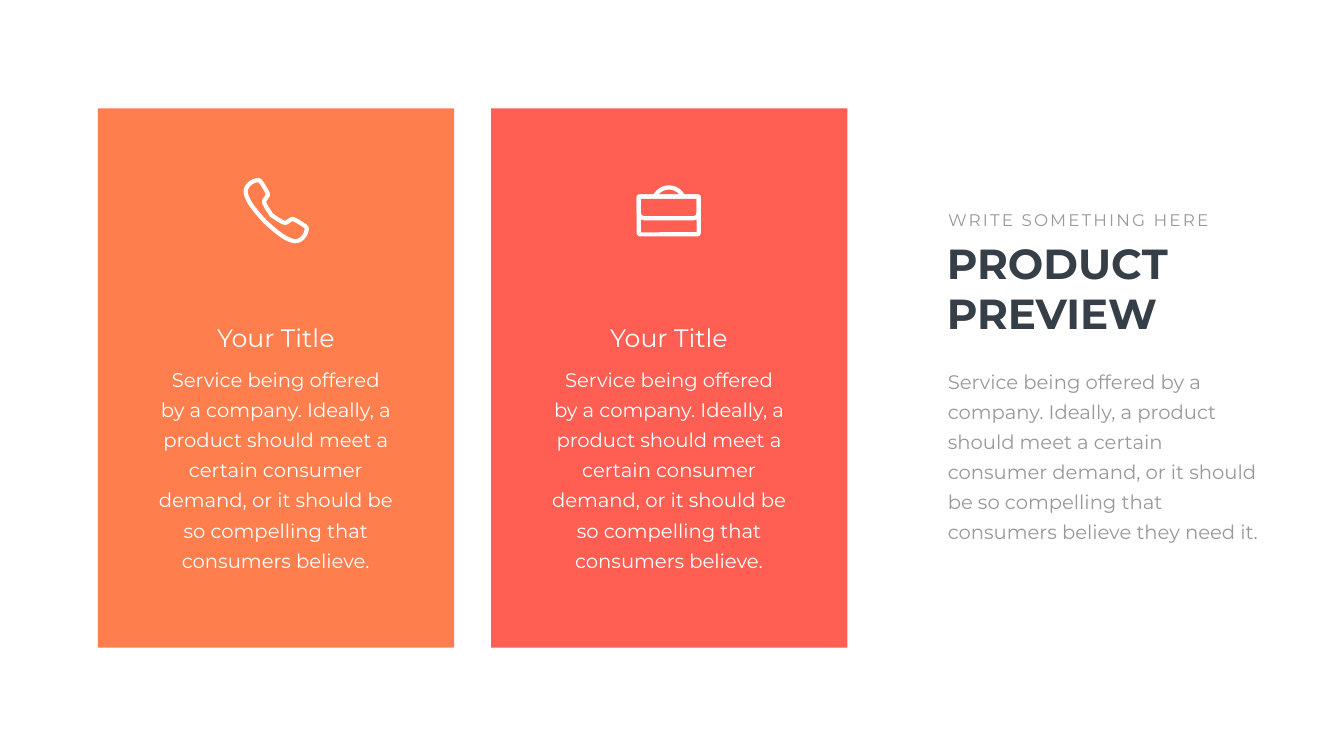
import math

from lxml import etree
from pptx import Presentation
from pptx import util as u
from pptx.dml.color import RGBColor
from pptx.enum import shapes, text
from pptx.oxml.ns import qn

PX = 9144  # EMU in one px, 100 px to the inch
FONT = "Montserrat"
ORANGE = RGBColor(0xFE, 0x7E, 0x4E)
CORAL = RGBColor(0xFE, 0x5F, 0x52)
WHITE = RGBColor(0xFF, 0xFF, 0xFF)
GREY = RGBColor(0x99, 0x99, 0x99)
NAVY = RGBColor(0x36, 0x3E, 0x48)

LEFT, CENTER = text.PP_ALIGN.LEFT, text.PP_ALIGN.CENTER
BODY_STYLE = {"insets": (24, 12),
              "formats": {"line_spacing": u.Pt(43), "space_before": u.Pt(0)}}

CARD_TEXT = ("Service being offered by a company. Ideally, a product should meet a "
             "certain consumer demand, or it should be so compelling that "
             "consumers believe.")
INTRO_TEXT = CARD_TEXT.replace("believe.", "believe they need it.")

# One half of the handset, from the middle of its back to the middle of its grip
HANDSET = [(43, 86), (28, 69), (13, 49), (5, 31), (6, 19), (13, 10), (22, 5), (31, 4),
           (38, 12), (48, 30), (46, 37), (41, 46), (46, 58), (56, 73)]
HANDSET_SIZE = 129


def outline(sp):
    """White stroke without fill, as all icon parts have."""
    sp.shadow.inherit = False
    sp.fill.background()
    sp.line.color.rgb = WHITE
    sp.line.width = u.Pt(6)


def add_path(s, x, y, points, close):
    points = [((x + px) * PX, (y + py) * PX) for px, py in points]
    builder = s.shapes.build_freeform(*points[0], scale=1.0)
    builder.add_line_segments(points[1:], close=close)
    outline(builder.convert_to_shape())


def smooth(points, steps=6):
    """Closed Catmull-Rom curve through the points."""
    n = len(points)
    curve = []
    for i in range(n):
        a, b, c, d = (points[(i + k) % n] for k in (-1, 0, 1, 2))
        for t in (k / steps for k in range(steps)):
            curve.append(tuple(
                q + t / 2 * (r - p + t * (2 * p - 5 * q + 4 * r - v
                                          + t * (3 * (q - r) + v - p)))
                for p, q, r, v in zip(a, b, c, d)))
    return curve


def add_phone(s, x, y):
    # The handset mirrors itself across its diagonal
    mirrored = [(HANDSET_SIZE - py, HANDSET_SIZE - px) for px, py in reversed(HANDSET)]
    add_path(s, x, y, smooth(HANDSET + mirrored), True)


def add_briefcase(s, x, y):
    # Case and flap share their top edge
    parts = [(shapes.MSO_SHAPE.ROUNDED_RECTANGLE, 75, [0.04]),
             (shapes.MSO_SHAPE.ROUND_2_SAME_RECTANGLE, 43, [0, 0.25])]
    for kind, height, corners in parts:
        sp = s.shapes.add_shape(kind, (x + 4) * PX, (y + 22) * PX, 119 * PX, height * PX)
        for i, corner in enumerate(corners):
            sp.adjustments[i] = corner
        outline(sp)
    # Handle
    angles = [math.radians(a) for a in range(205, 336, 10)]
    add_path(s, x, y, [(64 + 31 * math.cos(a), 35 + 31 * math.sin(a)) for a in angles],
             False)


def set_text(sp, box, words, size, color, align=LEFT, bold=False, wrap=True,
             insets=(10, 5), formats=None):
    sp.left, sp.top, sp.width, sp.height = (v * PX for v in box)
    tf = sp.text_frame
    side, end = (v * PX for v in insets)
    for name, value in {"word_wrap": wrap, "auto_size": text.MSO_AUTO_SIZE.NONE,
                        "vertical_anchor": text.MSO_ANCHOR.TOP,
                        "margin_left": side, "margin_right": side,
                        "margin_top": end, "margin_bottom": end}.items():
        setattr(tf, name, value)
    p = tf.paragraphs[0]
    for name, value in {"alignment": align, **(formats or {})}.items():
        setattr(p, name, value)
    r = p.add_run()
    r.text = words
    for name, value in {"name": FONT, "size": u.Pt(size), "bold": bold}.items():
        setattr(r.font, name, value)
    r.font.color.rgb = color
    return r


def add_text(s, box, *args, **kwargs):
    return set_text(s.shapes.add_textbox(0, 0, 0, 0), box, *args, **kwargs)


def add_card(s, box, color, add_icon, icon_top):
    x, y, w, h = box
    sp = s.shapes.add_shape(shapes.MSO_SHAPE.RECTANGLE, *(v * PX for v in box))
    sp.shadow.inherit = False
    sp.fill.solid()
    sp.fill.fore_color.rgb = color
    sp.line.fill.background()
    add_icon(s, x + 289, y + icon_top)
    add_text(s, (x + 95, y + 420, w - 191, 71), "Your Title", 36, WHITE, CENTER)
    add_text(s, (x + 95, y + 490, w - 191, 441), CARD_TEXT, 28, WHITE, CENTER,
             **BODY_STYLE)


def add_intro(s, x, y):
    # Caption with wide letter spacing
    r = add_text(s, (x + 15, y, 546, 50), "WRITE SOMETHING HERE", 24, GREY, wrap=False)
    r.font._element.set("spc", "300")
    # Title
    set_text(s.shapes.title, (x + 12, y + 54, 635, 212), "PRODUCT PREVIEW", 60, NAVY,
             bold=True)
    # Body without bullet
    body = s.placeholders[1]
    pPr = body.text_frame.paragraphs[0]._p.get_or_add_pPr()
    pPr.set("marL", "0")
    pPr.set("indent", "0")
    etree.SubElement(pPr, qn("a:buNone"))
    set_text(body, (x, y + 296, 674, 380), INTRO_TEXT, 28, GREY, **BODY_STYLE)


def main():
    prs = Presentation()
    prs.slide_width, prs.slide_height = 2666 * PX, 1500 * PX
    s = prs.slides.add_slide(prs.slide_layouts[1])
    cards = [(ORANGE, add_phone, 139), (CORAL, add_briefcase, 153)]
    for i, card in enumerate(cards):
        add_card(s, (194 + i * 780, 215, 707, 1070), *card)
    add_intro(s, 1856, 412)
    prs.save("out.pptx")


if __name__ == "__main__":
    main()
